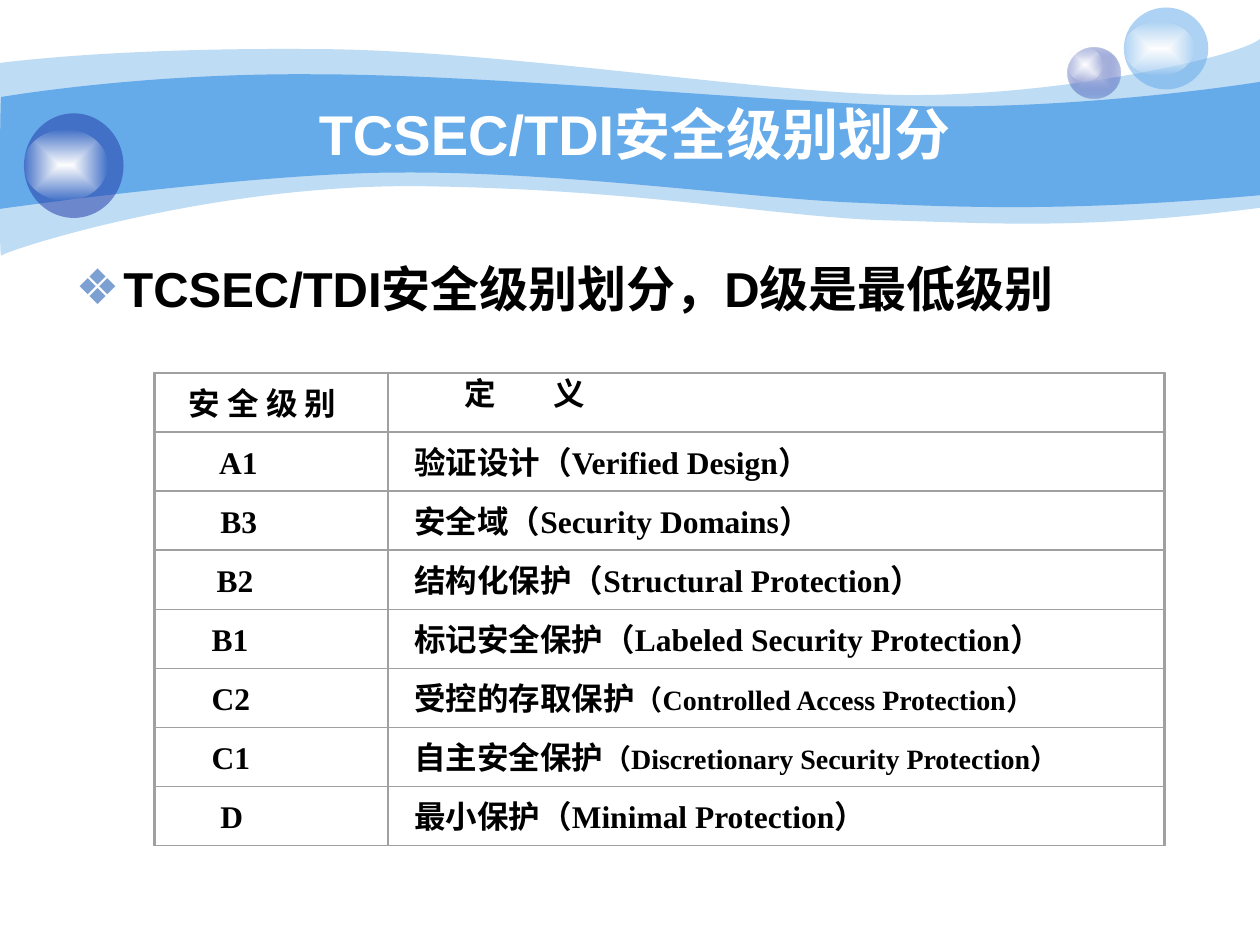
from lxml import etree
from pptx import Presentation
from pptx import util as u
from pptx.dml.color import RGBColor
from pptx.enum import shapes, text
from pptx.oxml import parse_xml
from pptx.oxml.ns import nsdecls, qn

COLORS = {"sky": "65AAE9", "navy": "233DA9", "pale": "C7CEE9", "white": "FFFFFF",
          "ink": "000000", "bullet": "7DA0D3", "grid": "A0A0A0"}
TITLE = "TCSEC/TDI安全级别划分"
POINT = "TCSEC/TDI安全级别划分，D级是最低级别"
LEVELS = [
    ("安 全 级 别", 0.06, [("定\t义", 18)]),
    ("A1", 0.3, [("验证设计（Verified Design）", 18)]),
    ("B3", 0.31, [("安全域（Security Domains）", 18)]),
    ("B2", 0.28, [("结构化保护（Structural Protection）", 18)]),
    ("B1", 0.24, [("标记安全保护（Labeled Security Protection）", 18)]),
    ("C2", 0.24, [("受控的存取保护", 18), ("（Controlled Access Protection）", 16)]),
    ("C1", 0.24, [("自主安全保护", 18), ("（Discretionary Security Protection）", 16)]),
    ("D", 0.31, [("最小保护（Minimal Protection）", 18)]),
]
COLUMNS = (1.85, 6.16)
GRID_LEFT, GRID_TOP, GRID_HEIGHT = 1.23, 2.96, 3.75
ROW = GRID_HEIGHT / len(LEVELS)
PAD = 0.11

WAVES = [
    (41, (0, 0.5), [
        [(0.24, 0.47), (1.07, 0.38), (2.47, 0.39)],
        [(3.86, 0.39), (5.75, 0.7), (6.99, 0.75)],
        [(8.22, 0.8), (9.8, 0.47), (10, 0.31)],
        [(10, 1.65)],
        [(8.58, 1.83), (7.87, 1.77), (7.05, 1.75)],
        [(6.22, 1.73), (5.15, 1.51), (3.43, 1.48)],
        [(1.72, 1.44), (0.04, 1.99), (0.01, 2.03)],
        [(-0.01, 2.08), (0, 0.75), (0, 0.5)]]),
    (100, (0.01, 0.77), [
        [(0.02, 0.77), (1.1, 0.58), (2.48, 0.59)],
        [(3.86, 0.59), (5.95, 0.8), (7.18, 0.84)],
        [(8.41, 0.88), (9.76, 0.69), (10, 0.65)],
        [(10, 1.55)],
        [(8.53, 1.68), (7.65, 1.65), (6.82, 1.61)],
        [(5.99, 1.58), (4.47, 1.36), (3.17, 1.37)],
        [(2.03, 1.37), (-0.02, 1.66), (-0.01, 1.66)],
        [(0, 1.66), (0, 0.77), (0.01, 0.77)]]),
]
GLOW = [("white", 100), ("white", 0)]
BUBBLES = [
    ((8.47, 0.38, 0.42, 0.4), [("pale", 100), ("navy", 31)]),
    ((8.47, 0.38, 0.28, 0.27), GLOW),
    ((8.92, 0.06, 0.67, 0.65), [("sky", 53)]),
    ((8.92, 0.17, 0.56, 0.43), GLOW),
    ((0.19, 0.9, 0.79, 0.83), [("navy", 53)]),
    ((0.19, 1.03, 0.66, 0.56), GLOW),
]


def inches(*lengths):
    return [u.Inches(length) for length in lengths]


def color_xml(name, alpha):
    return f'<a:srgbClr val="{COLORS[name]}"><a:alpha val="{alpha * 1000}"/></a:srgbClr>'


def paint(shape, stops):
    shape.shadow.inherit = False
    shape.line.fill.background()
    shape.fill.solid()
    solid = shape.element.spPr.find(qn("a:solidFill"))
    if len(stops) == 1:
        xml = f'<a:solidFill {nsdecls("a")}>{color_xml(*stops[0])}</a:solidFill>'
    else:
        marks = "".join(f'<a:gs pos="{place}">{color_xml(*stop)}</a:gs>'
                        for place, stop in zip((0, 100000), stops))
        xml = (f'<a:gradFill {nsdecls("a")} rotWithShape="1"><a:gsLst>{marks}</a:gsLst>'
               '<a:path path="rect"><a:fillToRect l="50000" t="50000" r="50000" b="50000"/>'
               '</a:path></a:gradFill>')
    solid.getparent().replace(solid, parse_xml(xml))


def add_wave(page, start, segments):
    def hundredths(point):
        return tuple(round(value * 100) for value in point)

    outline = page.shapes.build_freeform(*hundredths(start), scale=u.Inches(0.01))
    outline.add_line_segments([hundredths(p) for segment in segments for p in segment])
    wave = outline.convert_to_shape()
    lines = iter(list(wave.element.iter(qn("a:lnTo"))))
    for segment in segments:
        group = [next(lines) for _ in segment]
        if len(group) == 3:
            curve = etree.Element(qn("a:cubicBezTo"))
            group[0].addprevious(curve)
            for line in group:
                curve.append(line[0])
                line.getparent().remove(line)
    return wave


def style(font, size, face, color):
    font.size, font.name, font.bold = u.Pt(size), face, True
    font.color.rgb = RGBColor.from_string(COLORS[color])


def place(shape, *spot):
    shape.left, shape.top, shape.width, shape.height = inches(*spot)


def add_words(grid, spot, spans, indent):
    box = grid.shapes.add_textbox(*inches(*spot))
    frame = box.text_frame
    frame.word_wrap = True
    frame.vertical_anchor = text.MSO_ANCHOR.MIDDLE
    frame.margin_left, frame.margin_right = inches(0.1 + indent, 0.1)
    frame.margin_top = frame.margin_bottom = u.Inches(0.05)
    para = frame.paragraphs[0]
    if "\t" in spans[0][0]:
        tabs = etree.SubElement(para._p.get_or_add_pPr(), qn("a:tabLst"))
        etree.SubElement(tabs, qn("a:tab"), pos=str(u.Inches(0.7)), algn="l")
    style(para.font, spans[0][1], "Times New Roman", "ink")
    for words, size in spans:
        span = para.add_run()
        span.text = words
        if size != spans[0][1]:
            span.font.size = u.Pt(size)


def add_frame(grid, spot, weight):
    frame = grid.shapes.add_shape(shapes.MSO_SHAPE.RECTANGLE, *inches(*spot))
    frame.shadow.inherit = False
    frame.fill.background()
    frame.line.color.rgb = RGBColor.from_string(COLORS["grid"])
    frame.line.width = u.Pt(weight)


def main():
    deck = Presentation()
    deck.slide_width, deck.slide_height = inches(10, 7.5)
    page = deck.slides.add_slide(deck.slide_layouts[1])
    title, body = page.placeholders

    for alpha, start, segments in WAVES:
        paint(add_wave(page, start, segments), [("sky", alpha)])
    for spot, stops in BUBBLES:
        paint(page.shapes.add_shape(shapes.MSO_SHAPE.OVAL, *inches(*spot)), stops)

    for holder in (title, body):
        holder.element.getparent().append(holder.element)
    place(title, 1, 0.75, 8.08, 0.62)
    title.text_frame.text = TITLE
    title.text_frame.vertical_anchor = text.MSO_ANCHOR.MIDDLE
    heading = title.text_frame.paragraphs[0]
    heading.alignment = text.PP_ALIGN.CENTER
    style(heading.font, 32, "Arial", "white")

    place(body, 0.5, 2, 9, 4.92)
    body.text_frame.text = POINT
    point = body.text_frame.paragraphs[0]
    properties = point._p.get_or_add_pPr()
    properties.set("marL", str(u.Inches(0.38)))
    properties.set("indent", str(u.Inches(-0.38)))
    tint = etree.SubElement(properties, qn("a:buClr"))
    etree.SubElement(tint, qn("a:srgbClr"), val=COLORS["bullet"])
    etree.SubElement(properties, qn("a:buChar"), char="❖")
    style(point.font, 28, "Arial", "ink")

    grid = page.shapes.add_group_shape()
    for row, (level, indent, definition) in enumerate(LEVELS):
        top = GRID_TOP + row * ROW
        left = GRID_LEFT
        cells = [([(level, 18)], indent, 0),
                 (definition, 0 if row else 0.4, 0 if row else -0.08)]
        for width, (spans, inset, shift) in zip(COLUMNS, cells):
            add_words(grid, (left + PAD, top + shift, width - 2 * PAD, ROW), spans, inset)
            add_frame(grid, (left, top, width, ROW), 0)
            left += width
    add_frame(grid, (GRID_LEFT - 0.01, GRID_TOP, sum(COLUMNS) + 0.02, GRID_HEIGHT), 0.88)
    deck.save("out.pptx")


if __name__ == "__main__":
    main()
